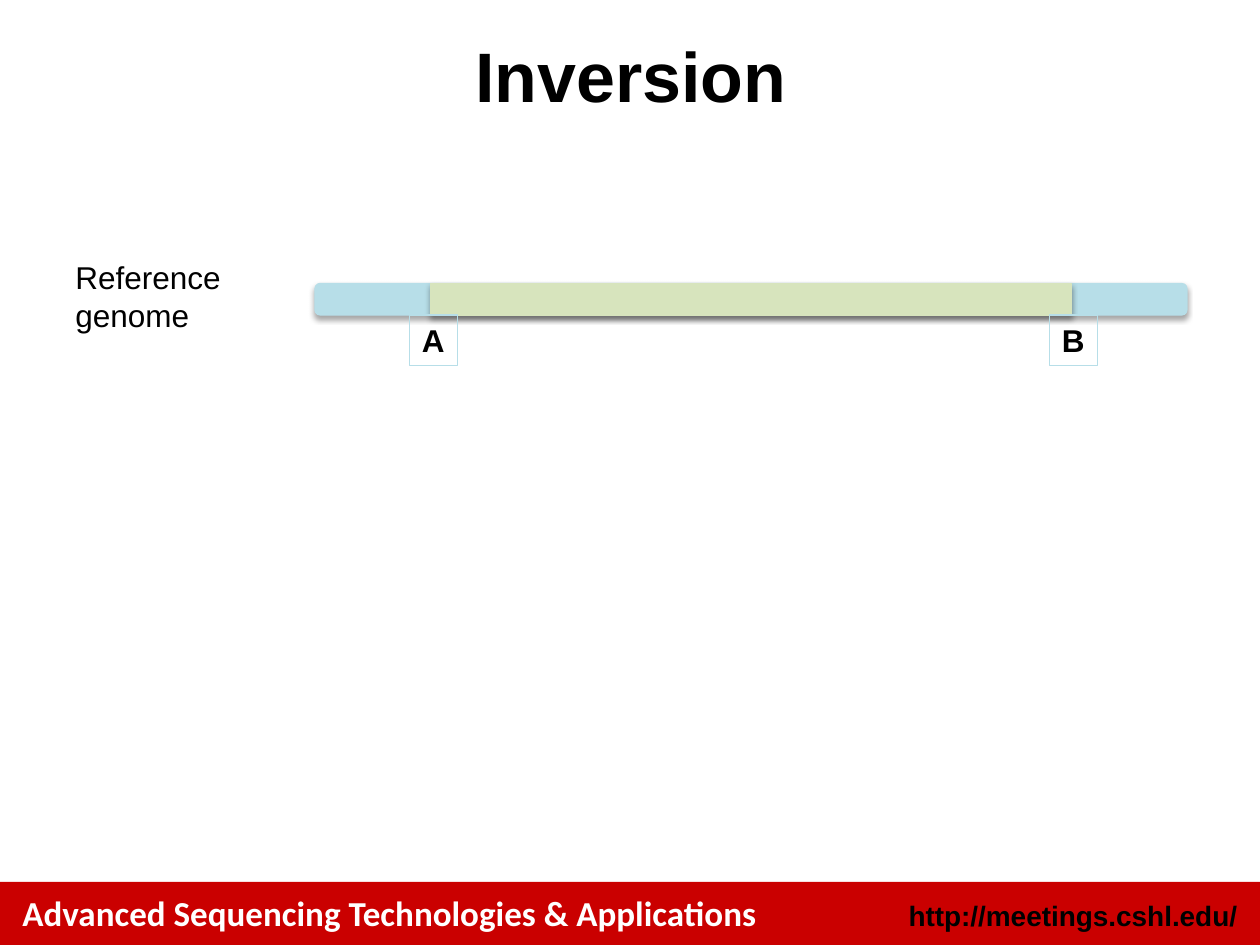
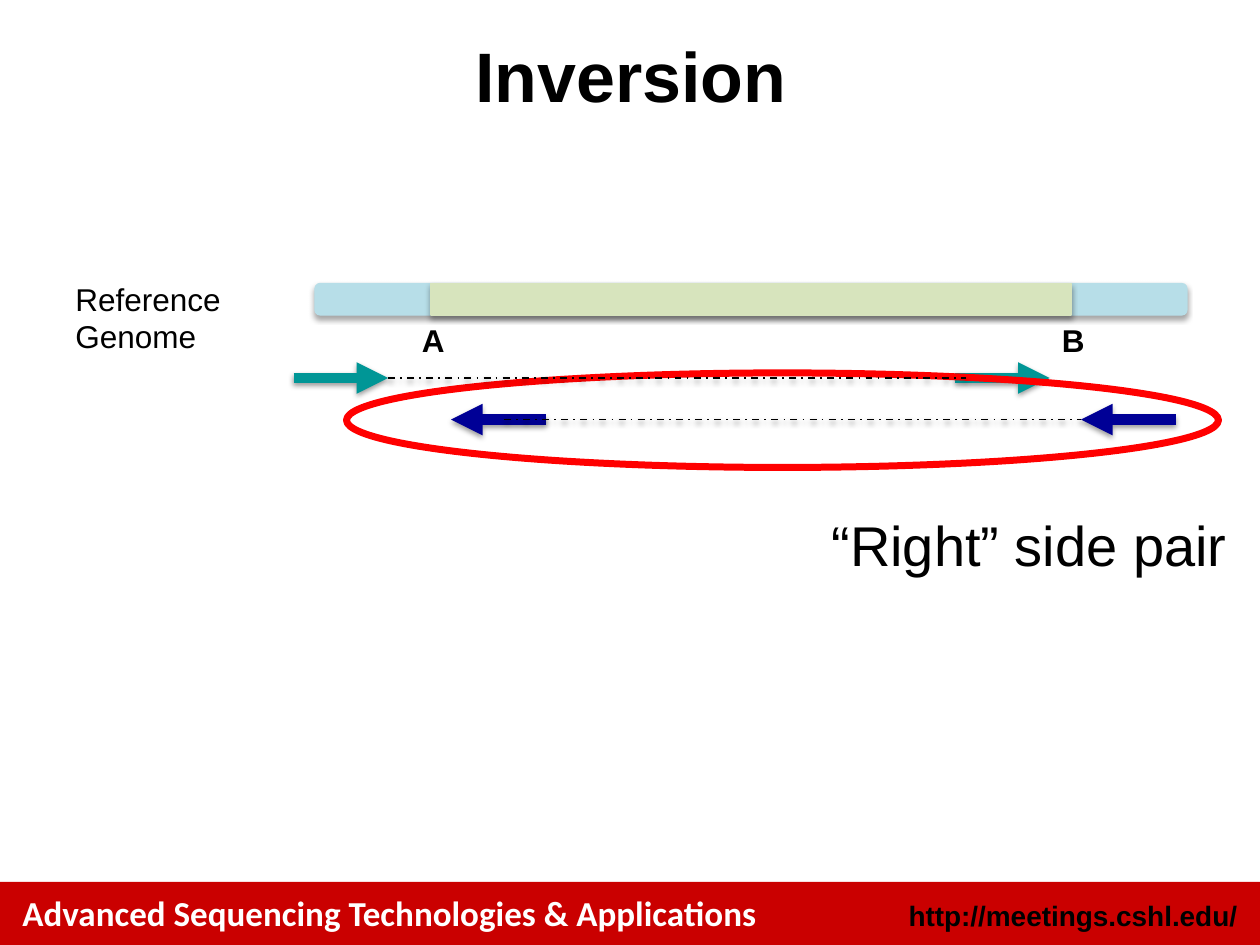
from lxml import etree
from pptx import Presentation
from pptx.dml.color import RGBColor
from pptx.enum import dml, shapes, text
from pptx.oxml import ns
from pptx.util import Inches, Pt

HUES = {
    "band": "CA0000", "white": "FFFFFF", "black": "000000",
    "flank": "B7DEE8", "insert": "D7E4BD", "left": "009696",
    "right": "000096", "ring": "FF0000",
}
FORMS = shapes.MSO_SHAPE
ALIGN = text.PP_ALIGN
TOP, BOTTOM = 3, 3.33
READ = 0.75


def hue(name):
    """Return the named colour."""
    return RGBColor.from_string(HUES[name])


def child(parent, tag, **attrs):
    """Add an XML element with the given attributes."""
    node = etree.SubElement(parent, ns.qn(tag))
    for key, value in attrs.items():
        node.set(key, str(value))
    return node


def shade(shape, alpha, dist):
    """Give a shape or connector a soft shadow below it."""
    props = shape._element.spPr
    effects = props.find(ns.qn("a:effectLst"))
    if effects is None:
        effects = child(props, "a:effectLst")
    shadow = child(effects, "a:outerShdw", blurRad=Pt(3.1), dist=Pt(dist),
                   dir=90 * 60000, rotWithShape=0)
    color = child(shadow, "a:srgbClr", val=HUES["black"])
    child(color, "a:alpha", val=alpha * 1000)


def write(slide, words, box, size, font="Arial", color="black", bold=False,
          align=ALIGN.LEFT, anchor=text.MSO_ANCHOR.TOP, wrap=True):
    """Add a text box with one styled paragraph."""
    label = slide.shapes.add_textbox(*map(Inches, box))
    frame = label.text_frame
    frame.word_wrap = wrap
    frame.vertical_anchor = anchor
    frame.text = words
    para = frame.paragraphs[0]
    para.alignment = align
    style = para.runs[0].font
    style.name, style.size, style.bold = font, Pt(size), bold
    style.color.rgb = hue(color)
    return label


def draw(slide, form, box, fill=None, line=None, width=0.75):
    """Add a preset shape with optional fill and outline."""
    shape = slide.shapes.add_shape(form, *map(Inches, box))
    if fill:
        shape.fill.solid()
        shape.fill.fore_color.rgb = hue(fill)
    else:
        shape.fill.background()
    if line:
        shape.line.color.rgb = hue(line)
        shape.line.width = Pt(width)
    else:
        shape.line.fill.background()
    shape.shadow.inherit = False
    return shape


def link(slide, start, end, y, color, width):
    """Add a level line with a shadow."""
    line = slide.shapes.add_connector(
        shapes.MSO_CONNECTOR.STRAIGHT,
        Inches(start), Inches(y), Inches(end), Inches(y))
    line.line.color.rgb = hue(color)
    line.line.width = Pt(width)
    shade(line, 38, 1.6)
    return line


def read(slide, start, y, color, step):
    """Add a thick arrow for one sequence read."""
    arrow = link(slide, start, start + step, y, color, 6)
    child(arrow.line._get_or_add_ln(), "a:tailEnd", type="triangle")


def gap(slide, start, end, y):
    """Add the dashed line between paired reads."""
    line = link(slide, start, end, y, "black", 1)
    line.line.dash_style = dml.MSO_LINE.DASH_DOT


def genome(slide, name, top, framed):
    """Add the reference bar, its name and its breakpoints."""
    write(slide, name, (0.5, top, 1.42, 0.71), 18)
    for form, left, width, color in (
            (FORMS.ROUNDED_RECTANGLE, 2.5, 6.92, "flank"),
            (FORMS.RECTANGLE, 3.42, 5.08, "insert")):
        bar = draw(slide, form, (left, 2.25, width, 0.25), color, color)
        shade(bar, 35, 1.8)
    for mark, left in (("A", 3.25), ("B", 8.33)):
        label = write(slide, mark, (left, 2.5, 0.38, 0.4), 18,
                      bold=True, wrap=False)
        if framed:
            label.line.color.rgb = hue("flank")
            label.line.width = Pt(0.75)


def start(deck):
    """Add a slide with the shared footer and title."""
    slide = deck.slides.add_slide(deck.slide_layouts[6])
    draw(slide, FORMS.RECTANGLE, (0, 7, 10, 0.5), "band")
    write(slide, "Advanced Sequencing Technologies & Applications",
          (0.08, 7.03, 7.33, 0.43), 20, "Calibri", "white", True)
    write(slide, "http://meetings.cshl.edu/", (6.75, 7.08, 3.17, 0.37), 16,
          bold=True, align=ALIGN.RIGHT)
    write(slide, "Inversion", (0.17, -0.03, 9.67, 1.25), 40, bold=True,
          align=ALIGN.CENTER, anchor=text.MSO_ANCHOR.MIDDLE)
    return slide


def main():
    """Build both slides and save the deck."""
    deck = Presentation()
    deck.slide_width, deck.slide_height = Inches(10), Inches(7.5)

    genome(start(deck), "Reference genome", 2, True)

    pairs = start(deck)
    genome(pairs, "Reference Genome", 2.17, False)
    for left in (2.33, 7.58):
        read(pairs, left, TOP, "left", READ)
    for left in (9.33, 4.33):
        read(pairs, left, BOTTOM, "right", -READ)
    write(pairs, "“Right” side pair", (6.5, 4, 3.37, 0.64), 32, wrap=False)
    draw(pairs, FORMS.OVAL, (2.75, 2.96, 6.92, 0.75), line="ring", width=4)
    gap(pairs, 3.08, 7.67, TOP)
    gap(pairs, 4, 8.58, BOTTOM)

    deck.save("out.pptx")


if __name__ == "__main__":
    main()
